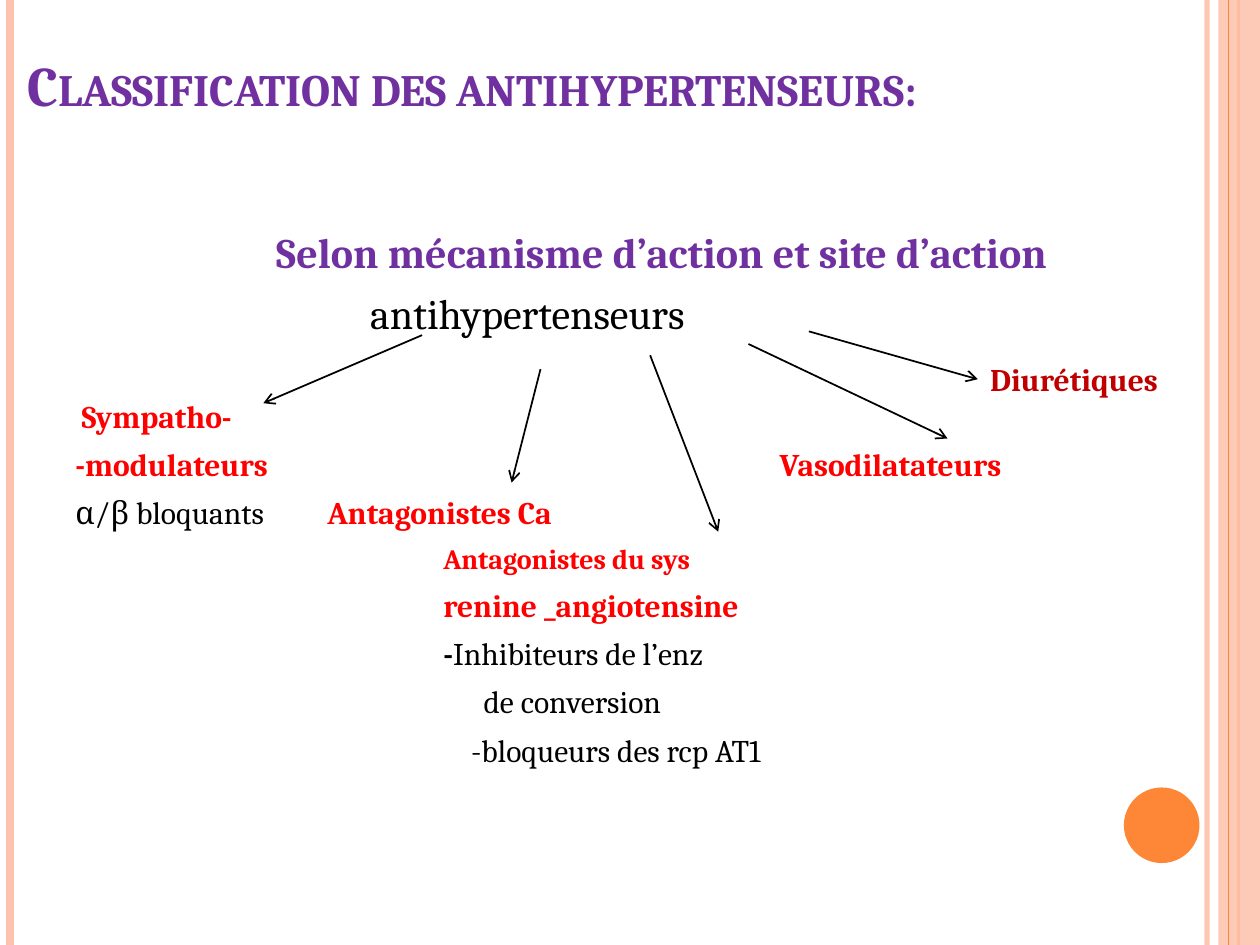
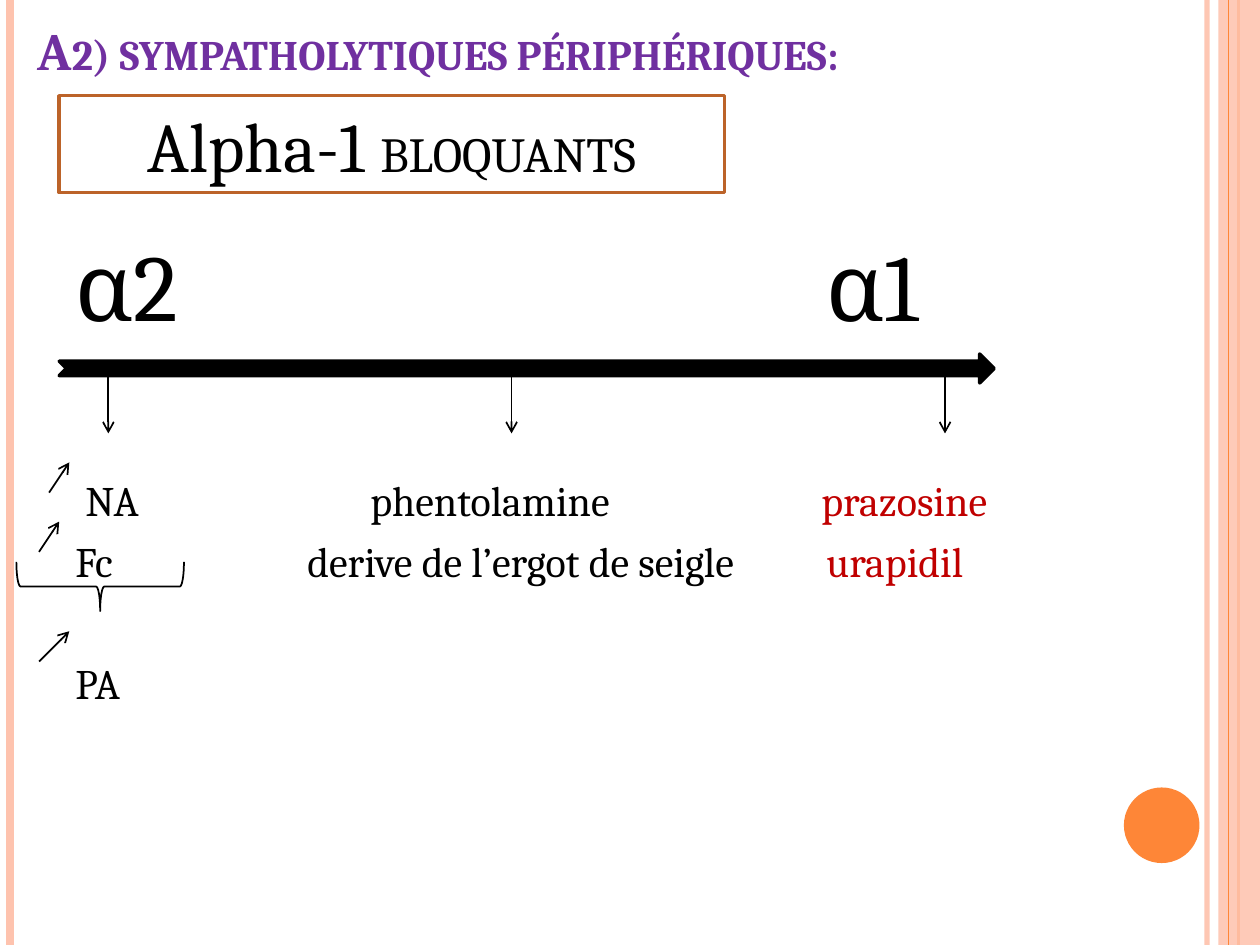
from pptx import Presentation
from pptx.dml.color import RGBColor
from pptx.enum import shapes, text
from pptx.oxml.ns import qn
from pptx.util import Inches, Pt
from lxml import etree

PEACH = RGBColor(0xFE, 0xC3, 0xAE)
ORANGE = RGBColor(0xFE, 0x86, 0x37)
BROWN = RGBColor(0xBC, 0x63, 0x29)
PURPLE = RGBColor(0x70, 0x30, 0xA0)
RED = RGBColor(0xFF, 0, 0)
DARK_RED = RGBColor(0xC0, 0, 0)
BLACK = RGBColor(0, 0, 0)
WHITE = RGBColor(0xFF, 0xFF, 0xFF)
FONT = "Cambria"
SHAPE = shapes.MSO_SHAPE
ALIGN = text.PP_ALIGN
ANCHOR = text.MSO_ANCHOR


class Deck:
    """Holds the style and the current slide, and draws each kind of element."""

    def __init__(self):
        self.prs = Presentation()
        self.prs.slide_width, self.prs.slide_height = Inches(10), Inches(7.5)
        self.s = None

    def slide(self):
        self.s = self.prs.slides.add_slide(self.prs.slide_layouts[6])
        self.line((9.58, 0), (9.58, 7.5), PEACH, 3, alpha=93)
        self.line((0.08, 0), (0.08, 7.5), PEACH, 4.5)
        self.line((9.83, 0), (9.83, 7.5), ORANGE, 1.5)
        self.shape(SHAPE.RECTANGLE, (9.67, 0, 0.33, 7.5), fill=PEACH, alpha=87)
        self.line((9.75, 0), (9.75, 7.5), ORANGE, 0.75)
        self.shape(SHAPE.OVAL, (8.92, 6.25, 0.6, 0.6), fill=ORANGE)

    def fade(self, sp, alpha):
        for clr in sp._element.spPr.iter(qn("a:srgbClr")):
            etree.SubElement(clr, qn("a:alpha"), val=str(alpha * 1000))

    def line(self, start, end, color=BLACK, width=1, alpha=100, arrow=False):
        ends = [Inches(v) for v in (*start, *end)]
        sp = self.s.shapes.add_connector(shapes.MSO_CONNECTOR.STRAIGHT, *ends)
        sp.line.color.rgb = color
        sp.line.width = Pt(width)
        if arrow:
            etree.SubElement(sp.line._get_or_add_ln(), qn("a:tailEnd"), type="arrow")
        if alpha < 100:
            self.fade(sp, alpha)
        etree.SubElement(sp._element.spPr, qn("a:effectLst"))

    def arrows(self, *pairs):
        for start, end in pairs:
            self.line(start, end, arrow=True)

    def shape(self, kind, box, fill=None, line=None, width=1, alpha=100):
        sp = self.s.shapes.add_shape(kind, *[Inches(v) for v in box])
        sp.shadow.inherit = False
        if fill is None:
            sp.fill.background()
        else:
            sp.fill.solid()
            sp.fill.fore_color.rgb = fill
        if line is None:
            sp.line.fill.background()
        else:
            sp.line.color.rgb = line
            sp.line.width = Pt(width)
        if alpha < 100:
            self.fade(sp, alpha)
        return sp

    def text(self, box, anchor=ANCHOR.TOP):
        tf = self.s.shapes.add_textbox(*[Inches(v) for v in box]).text_frame
        tf.word_wrap = True
        tf.vertical_anchor = anchor
        return tf

    def para(self, tf, runs, size, before=6, tabs=(), align=ALIGN.LEFT):
        first = not tf.paragraphs[0].runs
        p = tf.paragraphs[0] if first else tf.add_paragraph()
        p.alignment = align
        p.space_before = Pt(0 if first else before)
        if tabs:
            tab_list = etree.SubElement(p._p.get_or_add_pPr(), qn("a:tabLst"))
            for pos in tabs:
                etree.SubElement(tab_list, qn("a:tab"), pos=str(Inches(pos)), algn="l")
        p.font.name, p.font.size = FONT, Pt(size)
        for words, color, bold in runs:
            r = p.add_run()
            r.text = words
            font = p.font if len(runs) == 1 else r.font
            font.color.rgb, font.bold = color, bold
        return p

    def title(self, words, box, size):
        p = self.para(self.text(box, ANCHOR.BOTTOM), [(words, PURPLE, True)], size)
        p.runs[0]._r.get_or_add_rPr().set("cap", "small")


def classification(deck):
    deck.slide()
    deck.title("Classification des antihypertenseurs:", (0.12, 0.2, 9.4, 0.78), 32)
    tf = deck.text((0.5, 1.75, 9.5, 5.33))
    deck.para(tf, [("Selon mécanisme d’action et site d’action", PURPLE, True)], 24,
              align=ALIGN.CENTER)
    rows = [
        ([("\tantihypertenseurs", BLACK, False)], 24, 6, [2.34]),
        ([("\tSympatho-", RED, True)], 18, 33.6, [0.05]),
        ([("-modulateurs\tVasodilatateurs", RED, True)], 18, 6, [5.59]),
        ([("α/β bloquants\t", BLACK, False), ("Antagonistes Ca", RED, True)], 18, 6, [2]),
        ([("\tAntagonistes du sys", RED, True)], 16, 6, [2.92]),
        ([("\trenine _angiotensine", RED, True)], 18, 6, [2.92]),
        ([("\t-", BLACK, True), ("Inhibiteurs de l’enz", BLACK, False)], 18, 6, [2.92]),
        ([("\tde conversion", BLACK, False)], 18, 6, [3.24]),
        ([("\t-bloqueurs des rcp AT1", BLACK, False)], 18, 6, [3.14]),
    ]
    for row in rows:
        deck.para(tf, *row)
    deck.arrows(((3.35, 2.66), (2.09, 3.2)), ((4.29, 2.93), (4.06, 3.83)),
                ((5.16, 2.82), (5.7, 4.22)), ((5.94, 2.73), (7.52, 3.48)),
                ((6.42, 2.63), (7.76, 3.01)))
    deck.para(deck.text((7.76, 2.81, 1.89, 0.4)), [("Diurétiques", DARK_RED, True)], 18)


def alpha_blockers(deck):
    deck.slide()
    deck.title("A2) sympatholytiques périphériques:", (0.2, 0.1, 8.17, 0.59), 30)
    tf = deck.text((0.5, 1.75, 8.21, 5.33))
    rows = [
        ([("α2\tα1", BLACK, False)], 54, 0, [5.96]),
        ([("\tNA\tphentolamine\t", BLACK, False), ("prazosine", DARK_RED, False)],
         24, 76.8, [0.08, 2.34, 5.92]),
        ([("Fc\tderive de l’ergot de seigle\t", BLACK, False),
          ("urapidil", DARK_RED, False)], 24, 6, [1.84, 5.96]),
        ([("PA", BLACK, False)], 24, 40.8),
    ]
    for row in rows:
        deck.para(tf, *row)
    deck.shape(SHAPE.NOTCHED_RIGHT_ARROW, (0.47, 2.81, 7.42, 0.23), BLACK, BLACK, 2)
    deck.arrows(*[((x, 2.97), (x, 3.44)) for x in (0.86, 4.06, 7.5)])
    deck.arrows(((0.39, 3.91), (0.55, 3.67)), ((0.31, 4.38), (0.47, 4.14)),
                ((0.31, 5.25), (0.55, 5.01)))
    brace = deck.shape(SHAPE.RIGHT_BRACE, (0.6, 3.99, 0.39, 1.33), line=BLACK)
    brace.rotation = 90
    sp = deck.shape(SHAPE.RECTANGLE, (0.47, 0.76, 5.28, 0.77), WHITE, BROWN, 2)
    tf = sp.text_frame
    tf.vertical_anchor = ANCHOR.MIDDLE
    p = deck.para(tf, [("Alpha-1 ", BLACK, False), ("BLOQUANTS", BLACK, False)], 40,
                  align=ALIGN.CENTER)
    p.runs[1].font.size = Pt(28)


def main():
    deck = Deck()
    classification(deck)
    alpha_blockers(deck)
    deck.prs.save("out.pptx")


if __name__ == "__main__":
    main()
